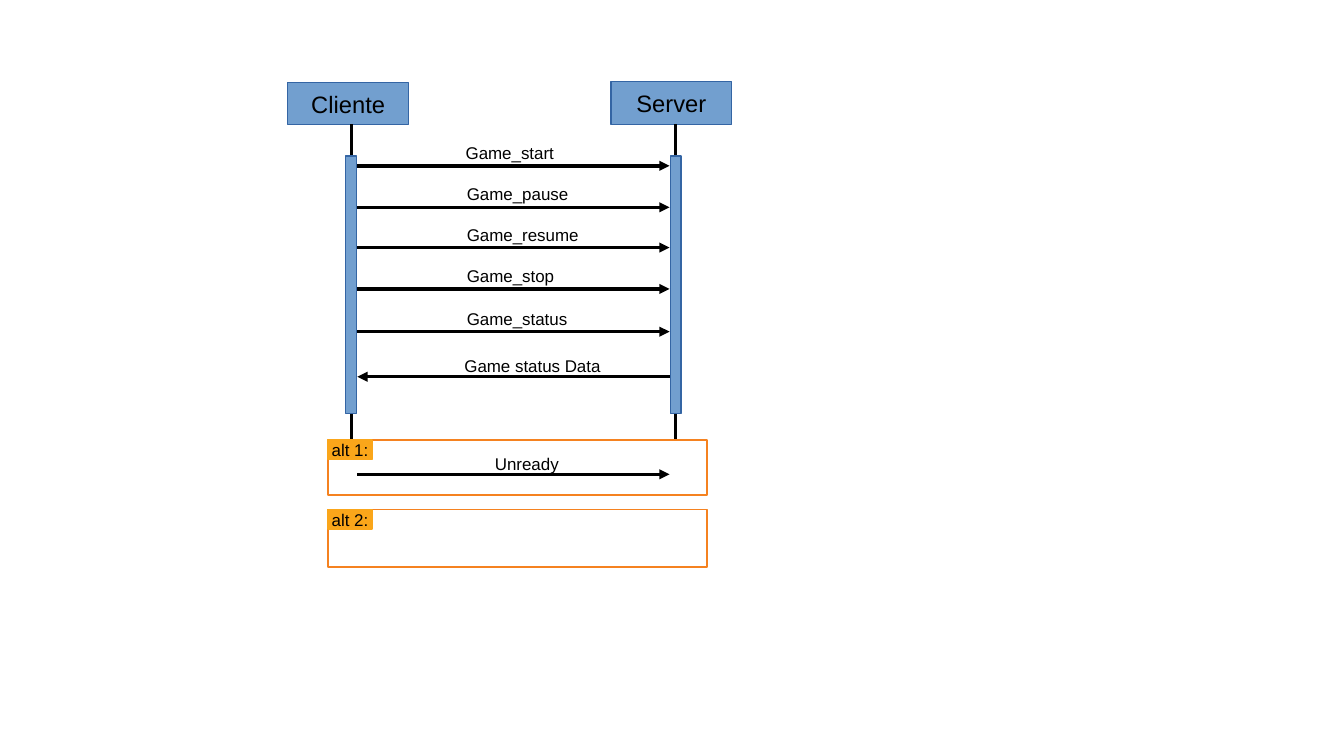
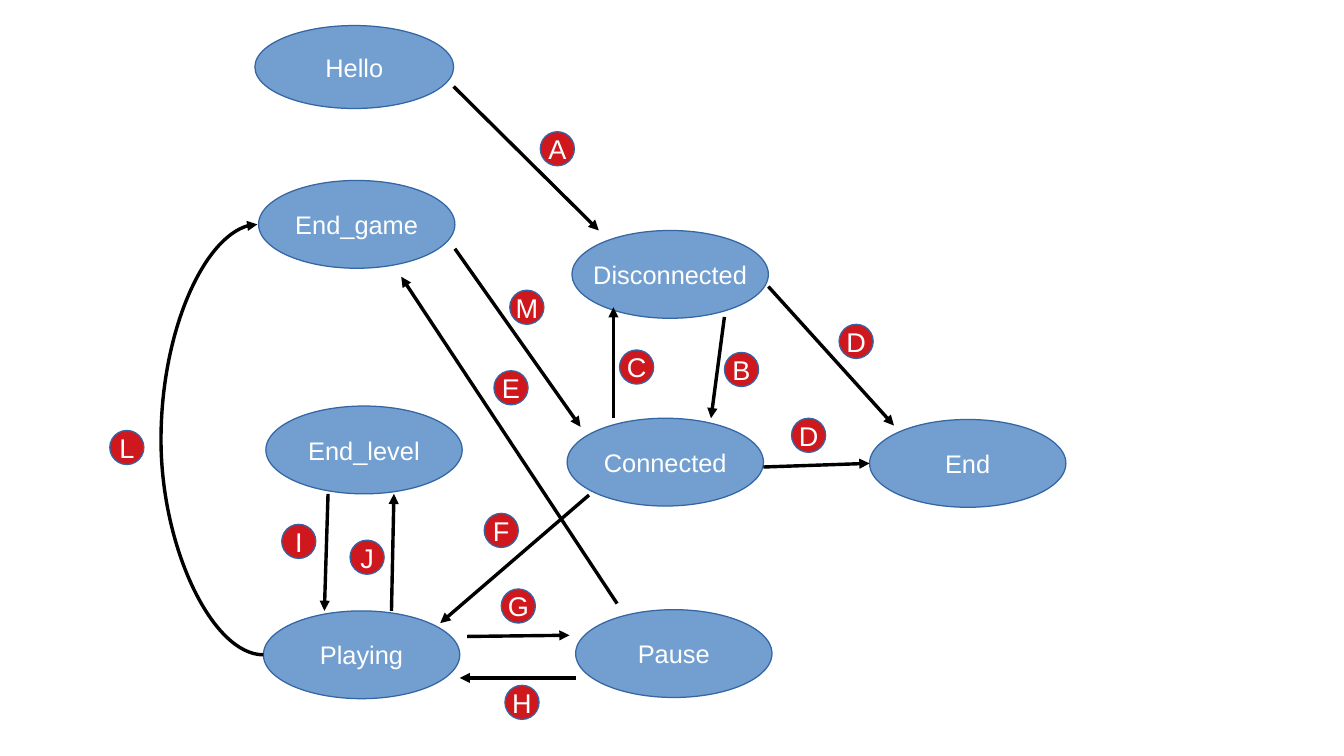
from lxml import etree
from pptx import Presentation
from pptx.dml.color import RGBColor
from pptx.enum.shapes import MSO_CONNECTOR, MSO_SHAPE
from pptx.enum.text import MSO_ANCHOR, PP_ALIGN
from pptx.oxml.ns import qn
from pptx.util import Inches, Pt

RECT, OVAL = MSO_SHAPE.RECTANGLE, MSO_SHAPE.OVAL
STRAIGHT, CURVE = MSO_CONNECTOR.STRAIGHT, MSO_CONNECTOR.CURVE
CENTER, LEFT = PP_ALIGN.CENTER, PP_ALIGN.LEFT
MIDDLE, TOP = MSO_ANCHOR.MIDDLE, MSO_ANCHOR.TOP
BLANK_LAYOUT = 6

FONT = "Arial"
COLORS = {
    "blue": "729FCF",
    "blue_edge": "3465A4",
    "red": "CE181E",
    "tag": "FAA61A",
    "frame": "F58220",
    "black": "000000",
    "white": "FFFFFF",
}

HEAD_WIDTH, HEAD_BOTTOM = 0.99, 0.35
BAR_WIDTH, BAR_TOP, BAR_HEIGHT = 0.09, 0.61, 2.11
LIFELINE_BOTTOM = 2.94
PARTICIPANTS = [("Cliente", 0, 0.01, 0.52), ("Server", 2.65, 0, 3.18)]
MESSAGE_START, MESSAGE_END = 0.57, 3.13
MESSAGES = [
    ("Game_start", 0.69, 1.36),
    ("Game_pause", 1.03, 1.37),
    ("Game_resume", 1.36, 1.37),
    ("Game_stop", 1.70, 1.37),
    ("Game_status", 2.05, 1.37),
]
LABEL_RISE = 0.24
FRAME_LEFT, FRAME_WIDTH = 0.33, 3.11
FRAMES = [("alt 1:", 2.94, 0.45), ("alt 2:", 3.51, 0.47)]

STATE_SIZE = (1.61, 0.72)
BADGE_SIZE = 0.28
STATES = {
    "Hello": (2.09, 0.21, 1.63, 0.68),
    "Disconnected": (4.69, 1.89, *STATE_SIZE),
    "Connected": (4.65, 3.43, *STATE_SIZE),
    "Playing": (2.16, 5.01, *STATE_SIZE),
    "End_level": (2.18, 3.33, *STATE_SIZE),
    "End": (7.13, 3.44, *STATE_SIZE),
    "Pause": (4.72, 5.0, *STATE_SIZE),
    "End_game": (2.12, 1.48, *STATE_SIZE),
}
TRANSITIONS = [
    ("A", "Hello", (1.63, 0.5), "Disconnected", (0.22, 0), (4.43, 1.08)),
    ("B", "Disconnected", (1.25, 0.71), "Connected", (1.18, 0), (5.94, 2.89)),
    ("C", "Connected", (0.38, 0), "Disconnected", (0.34, 0.63), (5.08, 2.87)),
    ("D", "Disconnected", (1.61, 0.46), "End", (0.2, 0.05), (6.88, 2.66)),
    ("D", "Connected", (1.61, 0.4), "End", (0, 0.36), (6.49, 3.43)),
    ("E", "Pause", (0.34, -0.05), "End_game", (1.17, 0.79), (4.05, 3.04)),
    ("F", "Connected", (0.18, 0.63), "Playing", (1.45, 0.1), (3.97, 4.21)),
    ("G", "Playing", (1.67, 0.21), "Pause", (-0.05, 0.21), (4.11, 4.83)),
    ("H", "Pause", (0, 0.56), "Playing", (1.61, 0.55), (4.14, 5.62)),
    ("I", "End_level", (0.51, 0.72), "Playing", (0.5, 0), (2.31, 4.3)),
    ("J", "Playing", (1.05, 0), "End_level", (1.05, 0.72), (2.87, 4.43)),
    ("M", "End_game", (1.61, 0.56), "Connected", (0.11, 0.07), (4.18, 2.38)),
]
LOOP_BULGE = 0.84


def rgb(name):
    return RGBColor.from_string(COLORS[name])


def write(frame, text, size=10, color="black", align=CENTER, anchor=MIDDLE, wrap=False):
    frame.word_wrap = wrap
    frame.vertical_anchor = anchor
    paragraph = frame.paragraphs[0]
    paragraph.alignment = align
    run = paragraph.add_run()
    run.text = text
    run.font.name = FONT
    run.font.size = Pt(size)
    run.font.color.rgb = rgb(color)


def add_block(slide, kind, box, fill="blue", edge="blue_edge", weight=0, text=None, **style):
    block = slide.shapes.add_shape(kind, *map(Inches, box))
    block.shadow.inherit = False
    if fill:
        block.fill.solid()
        block.fill.fore_color.rgb = rgb(fill)
    else:
        block.fill.background()
    block.line.color.rgb = rgb(edge)
    block.line.width = Pt(weight)
    if text:
        write(block.text_frame, text, **style)


def add_link(slide, start, end, kind=STRAIGHT, arrow=True):
    link = slide.shapes.add_connector(kind, *map(Inches, (*start, *end)))
    link.line.color.rgb = rgb("black")
    link.line.width = Pt(0)
    if arrow:
        etree.SubElement(link.line._get_or_add_ln(), qn("a:tailEnd"), type="triangle")
    etree.SubElement(link._element.spPr, qn("a:effectLst"))
    return link


def add_label(slide, text, left, top):
    label = slide.shapes.add_textbox(*map(Inches, (left, top, 1.34, 0.29)))
    write(label.text_frame, text, align=LEFT, anchor=TOP, wrap=True)


def add_participant(slide, name, left, top, head_left, head_top, axis):
    head = (left + head_left, top + head_top, HEAD_WIDTH, HEAD_BOTTOM - head_top)
    add_block(slide, RECT, head, text=name, size=14)
    add_link(slide, (left + axis, top + HEAD_BOTTOM),
             (left + axis, top + LIFELINE_BOTTOM), arrow=False)
    add_block(slide, RECT, (left + axis - BAR_WIDTH / 2, top + BAR_TOP, BAR_WIDTH, BAR_HEIGHT))


def add_message(slide, text, left, top, label_left, rise=LABEL_RISE, reply=False):
    ends = [(left + MESSAGE_START, top), (left + MESSAGE_END, top)]
    if reply:
        ends.reverse()
    add_link(slide, *ends)
    add_label(slide, text, left + label_left, top - rise)


def add_frame(slide, name, left, top, height):
    add_block(slide, RECT, (left, top, FRAME_WIDTH, height), fill=None, edge="frame", weight=1)
    add_block(slide, RECT, (left, top, 0.36, 0.16), fill="tag", edge="tag", text=name)


def build_sequence(slide, left, top):
    for name, *placement in PARTICIPANTS:
        add_participant(slide, name, left, top, *placement)
    for text, y, label_left in MESSAGES:
        add_message(slide, text, left, top + y, label_left)
    add_message(slide, "Game status Data", left, top + 2.42, 1.35, rise=0.22, reply=True)
    for name, y, height in FRAMES:
        add_frame(slide, name, left + FRAME_LEFT, top + y, height)
    add_message(slide, "Unready", left, top + 3.22, 1.6, rise=0.22)


def add_badge(slide, letter, left, top):
    add_block(slide, OVAL, (left, top, BADGE_SIZE, BADGE_SIZE), fill="red",
              text=letter, size=16, color="white")


def add_loop(slide, lower, upper):
    loop = add_link(slide, upper, lower, kind=CURVE)
    loop._element.spPr.find(qn("a:xfrm")).set("rot", "10800000")
    bulge = round(LOOP_BULGE / (lower[0] - upper[0]) * 100000)
    guides = loop._element.spPr.find(qn("a:prstGeom")).find(qn("a:avLst"))
    etree.SubElement(guides, qn("a:gd"), name="adj1", fmla=f"val {bulge}")


def build_states(slide, left, top):
    def anchor(state, offset):
        x, y = STATES[state][:2]
        return left + x + offset[0], top + y + offset[1]

    for name, (x, y, width, height) in STATES.items():
        add_block(slide, OVAL, (left + x, top + y, width, height),
                  text=name, size=15, color="white")
    for letter, source, leave, target, arrive, (x, y) in TRANSITIONS:
        add_link(slide, anchor(source, leave), anchor(target, arrive))
        add_badge(slide, letter, left + x, top + y)
    add_loop(slide, anchor("Playing", (0, 0.36)), anchor("End_game", (-0.01, 0.36)))
    add_badge(slide, "L", left + 0.9, top + 3.53)


def main():
    deck = Presentation()
    deck.slide_width, deck.slide_height = Inches(11.02), Inches(6.2)
    layout = deck.slide_layouts[BLANK_LAYOUT]
    build_sequence(deck.slides.add_slide(layout), 2.36, 0.67)
    build_states(deck.slides.add_slide(layout), 0, 0)
    deck.save("out.pptx")


if __name__ == "__main__":
    main()
